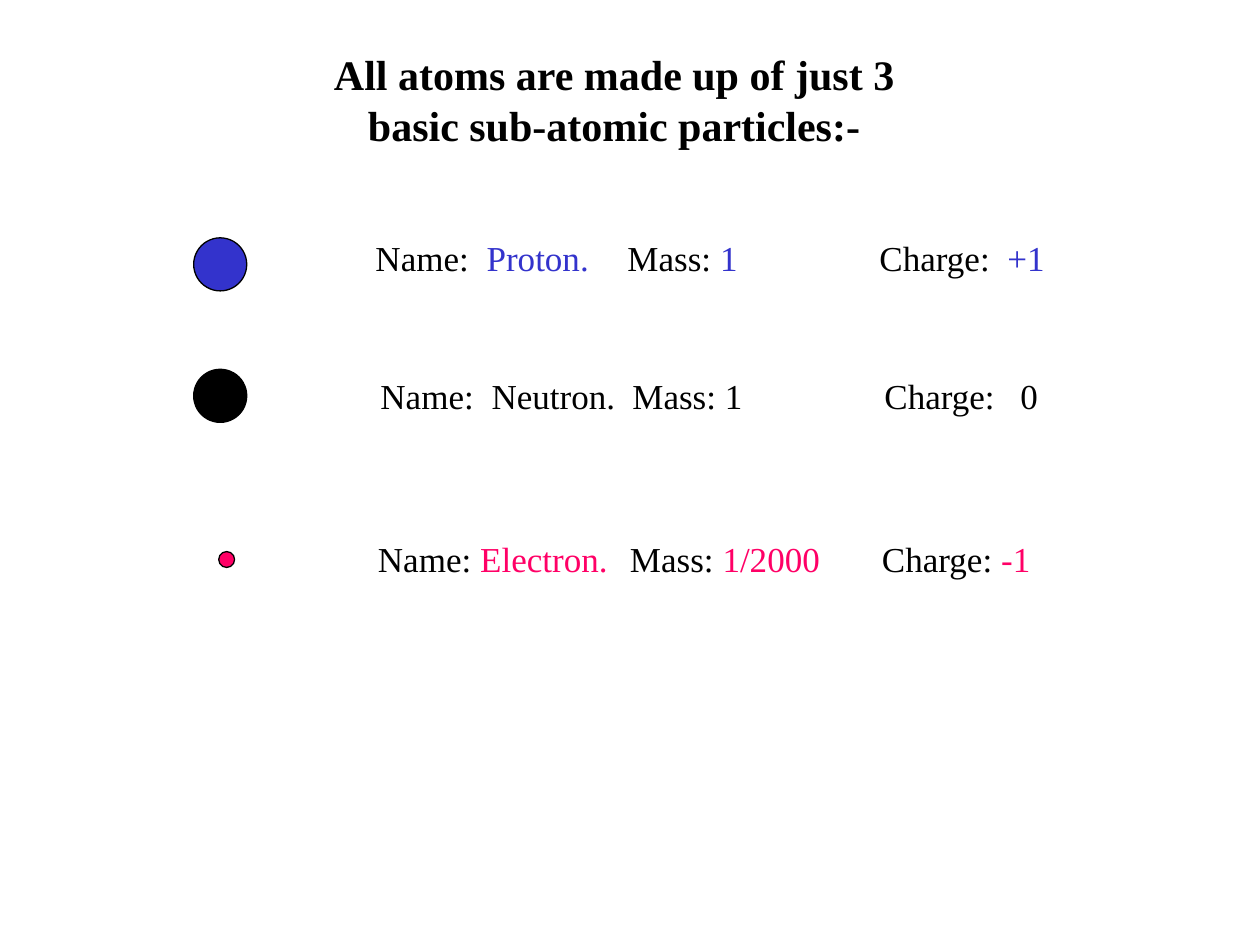
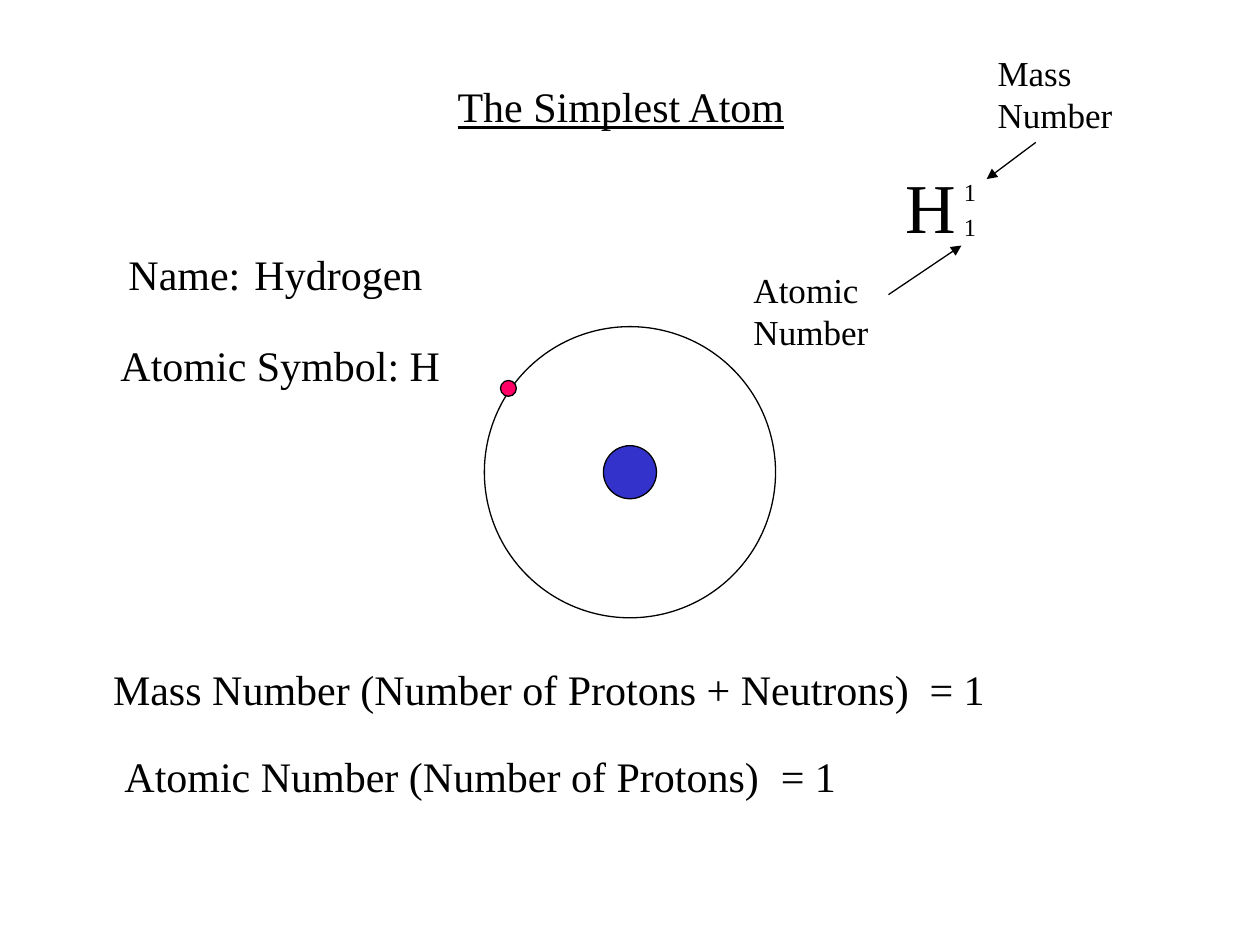
from dataclasses import dataclass

from lxml import etree
from pptx import Presentation
from pptx.dml.color import RGBColor
from pptx.enum.shapes import MSO_CONNECTOR, MSO_SHAPE
from pptx.enum.text import MSO_ANCHOR, MSO_AUTO_SIZE, PP_ALIGN
from pptx.oxml.ns import qn
from pptx.util import Cm, Pt

OVAL = MSO_SHAPE.OVAL
STRAIGHT = MSO_CONNECTOR.STRAIGHT
TOP = MSO_ANCHOR.TOP
NO_AUTOFIT = MSO_AUTO_SIZE.NONE
LEFT, CENTER = PP_ALIGN.LEFT, PP_ALIGN.CENTER
TITLE_ONLY = 5


@dataclass(frozen=True)
class Theme:
    font: str = "Times New Roman"
    ink: RGBColor = RGBColor(0x00, 0x00, 0x00)
    proton: RGBColor = RGBColor(0x33, 0x33, 0xCC)
    electron: RGBColor = RGBColor(0xFF, 0x00, 0x66)
    large: int = 24
    label: int = 20
    symbol: int = 40
    script: int = 14
    line: float = 0.75
    nucleon_size: float = 1.07
    electron_size: float = 0.32


THEME = Theme()


# Text
def set_tabs(para, stops):
    tab_list = etree.SubElement(para._p.get_or_add_pPr(), qn("a:tabLst"))
    for stop in stops:
        etree.SubElement(tab_list, qn("a:tab"), pos=str(Cm(stop)), algn="l")


def write(frame, text, size=THEME.large, bold=False, underline=False, align=LEFT, tabs=()):
    """Write a string, or a list of (text, colour) spans, as one paragraph."""
    frame.word_wrap = True
    frame.auto_size = NO_AUTOFIT
    frame.vertical_anchor = TOP
    para = frame.paragraphs[0]
    para.alignment = align
    if tabs:
        set_tabs(para, tabs)
    spans = [(text, THEME.ink)] if isinstance(text, str) else text
    for words, colour in spans:
        span = para.add_run()
        span.text = words
        span.font.name = THEME.font
        span.font.size = Pt(size)
        span.font.bold = bold
        span.font.underline = underline
        span.font.color.rgb = colour


def add_text(page, text, left, top, width, height=1.27, **style):
    box = page.shapes.add_textbox(Cm(left), Cm(top), Cm(width), Cm(height))
    write(box.text_frame, text, **style)


def add_page(deck, title, left, top, width, height, **style):
    page = deck.slides.add_slide(deck.slide_layouts[TITLE_ONLY])
    holder = page.shapes.title
    holder.left, holder.top = Cm(left), Cm(top)
    holder.width, holder.height = Cm(width), Cm(height)
    write(holder.text_frame, title, **style)
    return page


# Drawing
def add_circle(page, x, y, size, colour=None):
    """Draw a circle around its centre; without a colour it is hollow."""
    circle = page.shapes.add_shape(OVAL, Cm(x - size / 2), Cm(y - size / 2), Cm(size), Cm(size))
    circle.shadow.inherit = False
    if colour is None:
        circle.fill.background()
    else:
        circle.fill.solid()
        circle.fill.fore_color.rgb = colour
    circle.line.color.rgb = THEME.ink
    circle.line.width = Pt(THEME.line)


def add_arrow(page, start, end):
    arrow = page.shapes.add_connector(STRAIGHT, *(Cm(value) for value in start + end))
    arrow.line.color.rgb = THEME.ink
    arrow.line.width = Pt(THEME.line)
    etree.SubElement(arrow.line._get_or_add_ln(), qn("a:tailEnd"), type="triangle")
    etree.SubElement(arrow._element.spPr, qn("a:effectLst"))


def add_particle(page, centre, size, colour, text_at, facts, tabs):
    """Draw a particle and its facts, each a label with a coloured value."""
    add_circle(page, *centre, size, colour)
    spans = []
    for label, value in facts:
        spans += [(label, THEME.ink), (value, colour)]
    add_text(page, spans, *text_at, 15.67, 1.12, size=THEME.label, tabs=tabs)


# Slides
def build_particles(deck):
    page = add_page(deck, "All atoms are made up of just 3 basic sub-atomic particles:-",
                    6.22, 0.86, 12.32, 2.29, bold=True, align=CENTER)
    add_particle(page, (4.44, 5.33), THEME.nucleon_size, THEME.proton, (7.32, 4.65),
                 [("Name:\t", "Proton.\t"), ("Mass: ", "1\t"), ("Charge:\t", "+1")],
                 (2.24, 5.08, 10.16, 12.74))
    add_particle(page, (4.44, 7.98), THEME.nucleon_size, THEME.ink, (7.42, 7.42),
                 [("Name:\t", "Neutron.\t"), ("Mass: ", "1\t"), ("Charge:\t", "0")],
                 (2.24, 5.08, 10.16, 12.9))
    add_particle(page, (4.57, 11.28), THEME.electron_size, THEME.electron, (7.37, 10.72),
                 [("Name: ", "Electron.\t"), ("Mass: ", "1/2000\t"), ("Charge: ", "-1")],
                 (5.08, 10.16))


def build_hydrogen(deck):
    page = add_page(deck, "The Simplest Atom", 8.97, 1.5, 7.47, 1.27, underline=True)

    # Atom
    nucleus = (12.7, 9.52)
    add_circle(page, *nucleus, THEME.nucleon_size, THEME.proton)
    add_circle(page, *nucleus, 5.87)
    add_circle(page, 10.25, 7.83, THEME.electron_size, THEME.electron)

    # Facts
    add_text(page, "Name:\tHydrogen", 2.34, 4.88, 7.21, tabs=[2.54])
    add_text(page, "Atomic Symbol: H", 2.18, 6.71, 7.2)
    add_text(page, "Mass Number (Number of Protons + Neutrons)\t= 1",
             2.03, 13.26, 18.24, tabs=[16.46])
    add_text(page, "Atomic Number (Number of Protons)\t= 1",
             2.26, 15.01, 17.3, tabs=[13.23])

    # Symbol with its mass and atomic numbers
    add_text(page, "H", 18.01, 3.18, 1.63, 1.96, size=THEME.symbol)
    for top in (3.45, 4.14):
        add_text(page, "1", 19.18, top, 0.8, 0.86, size=THEME.script)
    add_text(page, "Atomic Number", 14.94, 5.28, 2.9, 1.96, size=THEME.label)
    add_text(page, "Mass Number", 19.86, 0.91, 3.33, 1.96, size=THEME.label)
    add_arrow(page, (17.91, 5.94), (19.38, 4.95))
    add_arrow(page, (20.88, 2.87), (19.89, 3.61))


def main():
    deck = Presentation()
    deck.slide_width, deck.slide_height = Cm(25.4), Cm(19.05)
    build_particles(deck)
    build_hydrogen(deck)
    deck.save("out.pptx")


if __name__ == "__main__":
    main()
